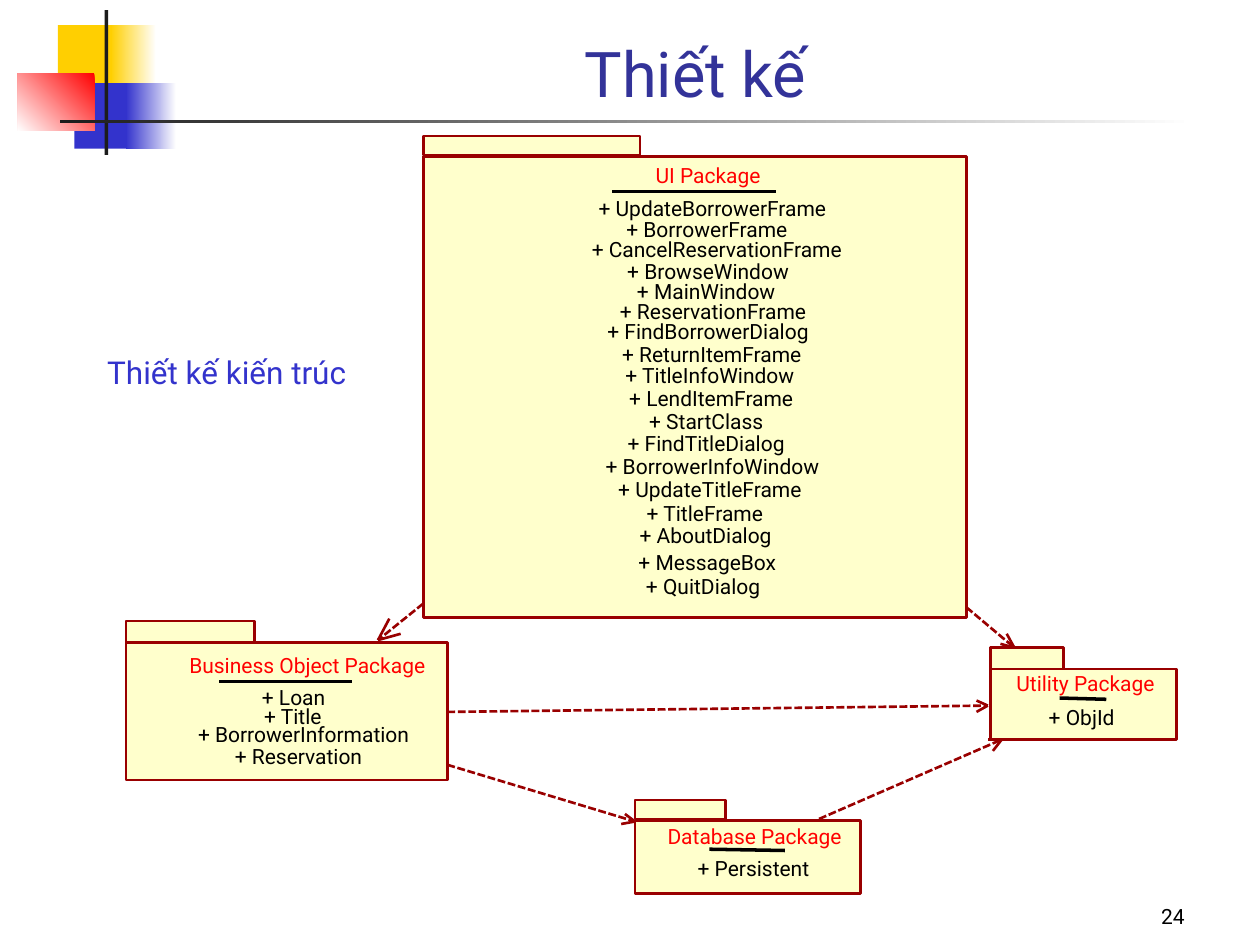
"""Build the architecture design slide with its UML package diagram."""
import dataclasses

import pptx
import pptx.dml.color
import pptx.enum.dml
import pptx.enum.shapes
import pptx.enum.text
import pptx.oxml
import pptx.oxml.ns
import pptx.util

EMU_PER_PX = 9144
ALIGN = pptx.enum.text.PP_ALIGN
ANCHOR = pptx.enum.text.MSO_ANCHOR
GROW = pptx.enum.text.MSO_AUTO_SIZE.SHAPE_TO_FIT_TEXT


@dataclasses.dataclass(frozen=True)
class Theme:
    """Colours, font and type sizes of the slide."""
    font: str = "Roboto"
    title_size: int = 36
    label_size: int = 18
    body_size: int = 12
    line_width: float = 1.5
    title: str = "333399"
    blue: str = "3333CC"
    yellow: str = "FFCF01"
    red: str = "FF0000"
    dark: str = "1C1C1C"
    white: str = "FFFFFF"
    black: str = "000000"
    package_fill: str = "FFFFCC"
    package_line: str = "990000"


THEME = Theme()

DECORATION = [
    ((46, 20, 48, 52), (THEME.yellow,), 0),
    ((88, 20, 36, 52), (THEME.white, THEME.yellow), 180),
    ((59, 66, 46, 52), (THEME.blue,), 0),
    ((100, 66, 40, 52), (THEME.white, THEME.blue), 180),
    ((14, 58, 61, 46), (THEME.red, THEME.white), 225),
    ((83, 8, 3, 115), (THEME.dark,), 0),
    ((48, 95, 900, 3), (THEME.white, THEME.dark), 180),
]

PACKAGES = [
    {
        "tab": (504, 635, 72, 15), "body": (504, 651, 179, 58),
        "name": ("Database Package", 527, 654, 144),
        "rule": (563, 674, 623, 675),
        "entries": [("Persistent", 552, 679, 92)],
    },
    {
        "tab": (100, 493, 102, 17), "body": (100, 510, 255, 109),
        "name": ("Business Object Package", 147, 518, 194),
        "rule": (174, 541, 279, 541),
        "entries": [
            ("Loan", 207, 543, 52),
            ("Title", 209, 558, 47),
            ("BorrowerInformation", 150, 573, 182),
            ("Reservation", 184, 590, 106),
        ],
    },
    {
        "tab": (336, 108, 172, 15), "body": (336, 124, 431, 366),
        "name": ("UI Package", 518, 129, 88),
        "rule": (486, 152, 616, 152),
        "entries": [
            ("UpdateBorrowerFrame", 468, 155, 195),
            ("BorrowerFrame", 492, 172, 138),
            ("CancelReservationFrame", 465, 188, 208),
            ("BrowseWindow", 494, 205, 136),
            ("MainWindow", 502, 221, 117),
            ("ReservationFrame", 488, 237, 156),
            ("FindBorrowerDialog", 476, 253, 172),
            ("ReturnItemFrame", 488, 271, 154),
            ("TitleInfoWindow", 492, 288, 143),
            ("LendItemFrame", 495, 306, 139),
            ("StartClass", 515, 324, 91),
            ("FindTitleDialog", 495, 342, 131),
            ("BorrowerInfoWindow", 474, 360, 183),
            ("UpdateTitleFrame", 486, 378, 155),
            ("TitleFrame", 511, 397, 97),
            ("AboutDialog", 504, 415, 112),
            ("MessageBox", 505, 436, 113),
            ("QuitDialog", 509, 455, 98),
        ],
    },
    {
        "tab": (786, 514, 58, 17), "body": (786, 531, 148, 56),
        "name": ("Utility Package", 804, 532, 115),
        "rule": (841, 554, 878, 555),
        "entries": [("ObjId", 830, 559, 57)],
    },
]

DEPENDENCIES = [
    ((336, 479), (300, 508), [(318, 503), (309, 491)]),
    ((355, 607), (504, 652), [(496, 646), (493, 654)]),
    ((650, 650), (795, 587), [(788, 596), (784, 587)]),
    ((355, 565), (784, 560), [(775, 565), (775, 556)]),
    ((767, 482), (805, 514), [(799, 503), (794, 511)]),
]


def px(*lengths):
    """Turn whole pixels into EMU."""
    return [pptx.util.Emu(length * EMU_PER_PX) for length in lengths]


def rgb(value):
    """Turn a hex string into a colour."""
    return pptx.dml.color.RGBColor.from_string(value)


def apply(target, values):
    """Set every attribute named in a dict of format values."""
    for name, value in values.items():
        setattr(target, name, value)


def add_box(page, place, colours, angle=0, outline=None):
    """Add a rectangle with a solid or two-colour gradient fill."""
    box = page.shapes.add_shape(
        pptx.enum.shapes.MSO_SHAPE.RECTANGLE, *px(*place))
    box.shadow.inherit = False
    if len(colours) == 1:
        box.fill.solid()
        box.fill.fore_color.rgb = rgb(colours[0])
    else:
        box.fill.gradient()
        box.fill.gradient_angle = angle
        for stop, colour in zip(box.fill.gradient_stops, colours):
            stop.color.rgb = rgb(colour)
    if outline:
        box.line.color.rgb = rgb(outline)
        box.line.width = pptx.util.Pt(THEME.line_width)
    else:
        box.line.fill.background()


def add_text(page, text, place, size, colour, align=ALIGN.CENTER,
             margins=(10, 5), **frame_format):
    """Add a one-paragraph text box."""
    frame = page.shapes.add_textbox(*px(*place)).text_frame
    side, end = px(*margins)
    apply(frame, {"margin_left": side, "margin_right": side,
                  "margin_top": end, "margin_bottom": end,
                  "word_wrap": True, **frame_format})
    para = frame.paragraphs[0]
    para.alignment = align
    span = para.add_run()
    span.text = text
    apply(span.font, {"name": THEME.font, "size": pptx.util.Pt(size)})
    span.font.color.rgb = rgb(colour)


def add_line(page, start, end, colour, width, dash=None):
    """Add a straight line without a shadow."""
    line = page.shapes.add_connector(
        pptx.enum.shapes.MSO_CONNECTOR.STRAIGHT, *px(*start, *end))
    line.line.color.rgb = rgb(colour)
    apply(line.line, {"width": pptx.util.Pt(width), "dash_style": dash})
    effects = pptx.oxml.ns.qn("a:effectLst")
    properties = line.element.spPr
    properties.append(properties.makeelement(effects, {}))


def add_package(page, package):
    """Add a package with its tab, name, rule and entries."""
    for part in ("body", "tab"):
        add_box(page, package[part], (THEME.package_fill,),
                outline=THEME.package_line)
    labels = [(package["name"], THEME.red)]
    labels += [(("+ " + name, *place), THEME.black)
               for name, *place in package["entries"]]
    for (text, left, top, width), colour in labels:
        add_text(page, text, (left, top, width, 20), THEME.body_size, colour,
                 margins=(0, 0), word_wrap=False, auto_size=GROW)
    rule = package["rule"]
    add_line(page, rule[:2], rule[2:], THEME.black, 0)


def add_dependency(page, start, tip, barbs):
    """Add a dashed dependency with an open head."""
    add_line(page, start, tip, THEME.package_line, THEME.line_width,
             pptx.enum.dml.MSO_LINE.SQUARE_DOT)
    for barb in barbs:
        add_line(page, tip, barb, THEME.package_line, THEME.line_width)


def main():
    """Build and save the slide."""
    deck = pptx.Presentation()
    deck.slide_width, deck.slide_height = px(1000, 750)
    page = deck.slides.add_slide(deck.slide_layouts[6])
    for place, colours, angle in DECORATION:
        add_box(page, place, colours, angle)
    add_text(page, "Thiết kế", (126, 8, 852, 84), THEME.title_size,
             THEME.title, vertical_anchor=ANCHOR.BOTTOM)
    for package in PACKAGES:
        add_package(page, package)
    for dependency in DEPENDENCIES:
        add_dependency(page, *dependency)
    add_text(page, "Thiết kế kiến trúc", (69, 275, 222, 40),
             THEME.label_size, THEME.blue, word_wrap=False, auto_size=GROW)
    add_text(page, "24", (742, 692, 208, 50), THEME.body_size, THEME.black,
             ALIGN.RIGHT, vertical_anchor=ANCHOR.BOTTOM)
    deck.save("out.pptx")


if __name__ == "__main__":
    main()
